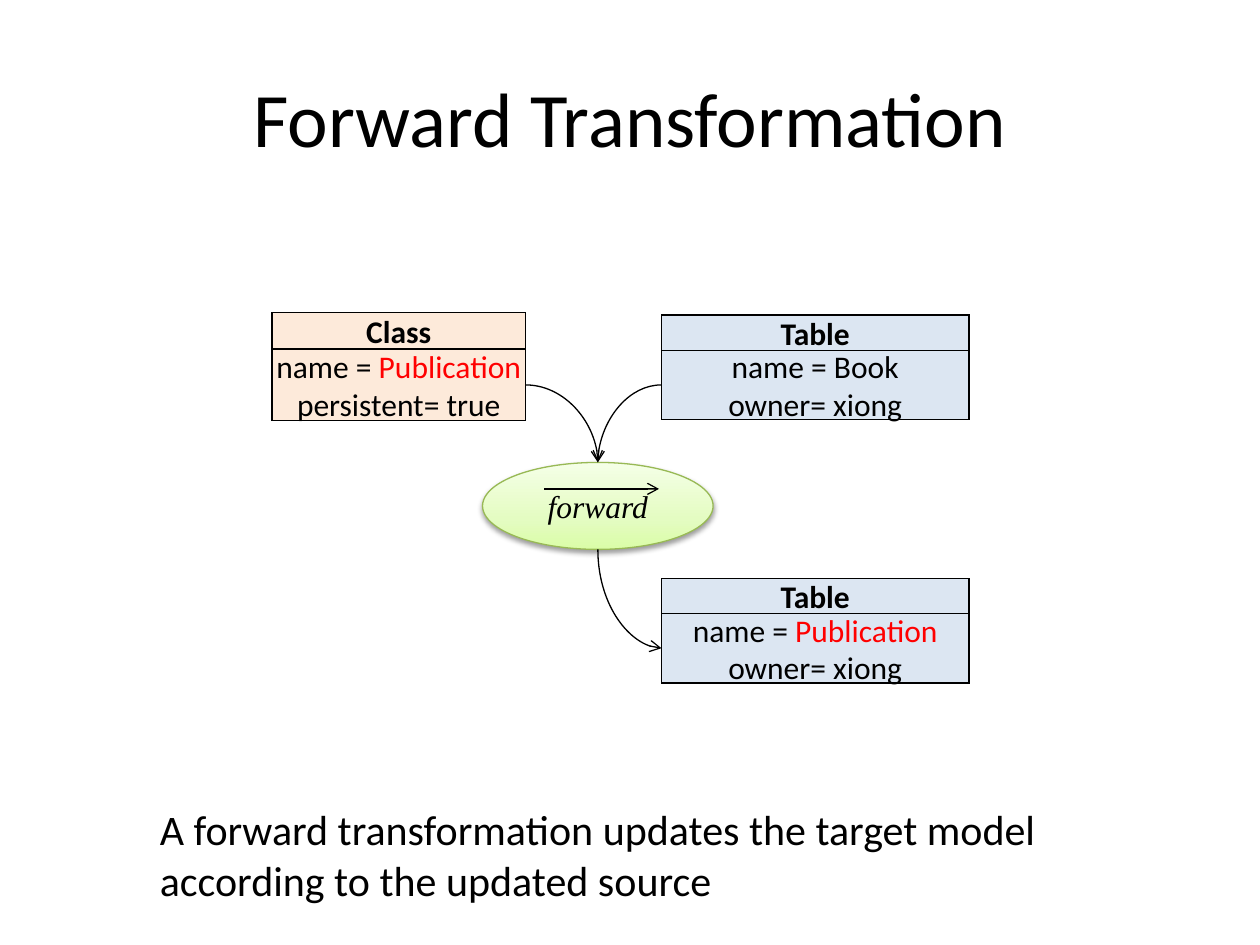
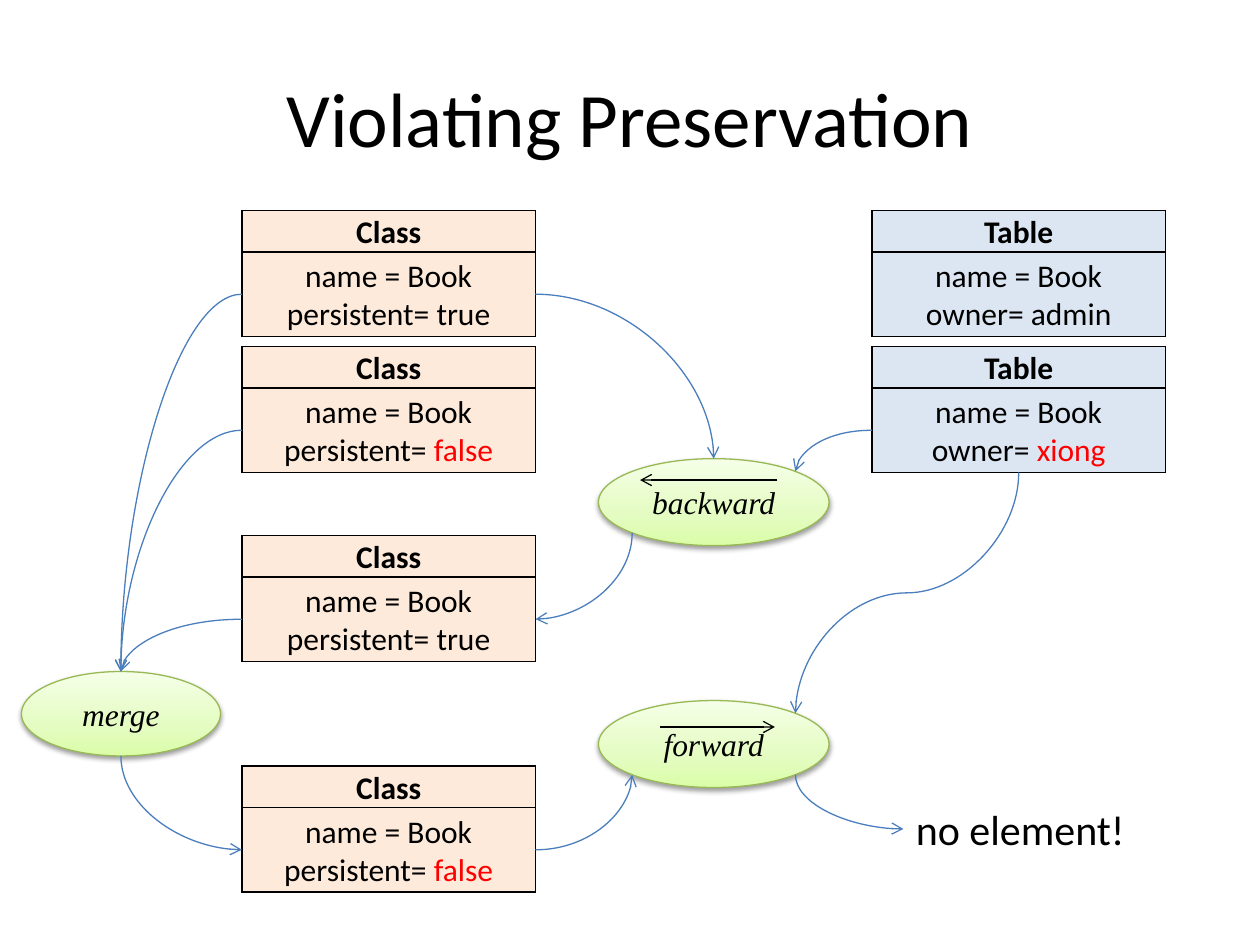
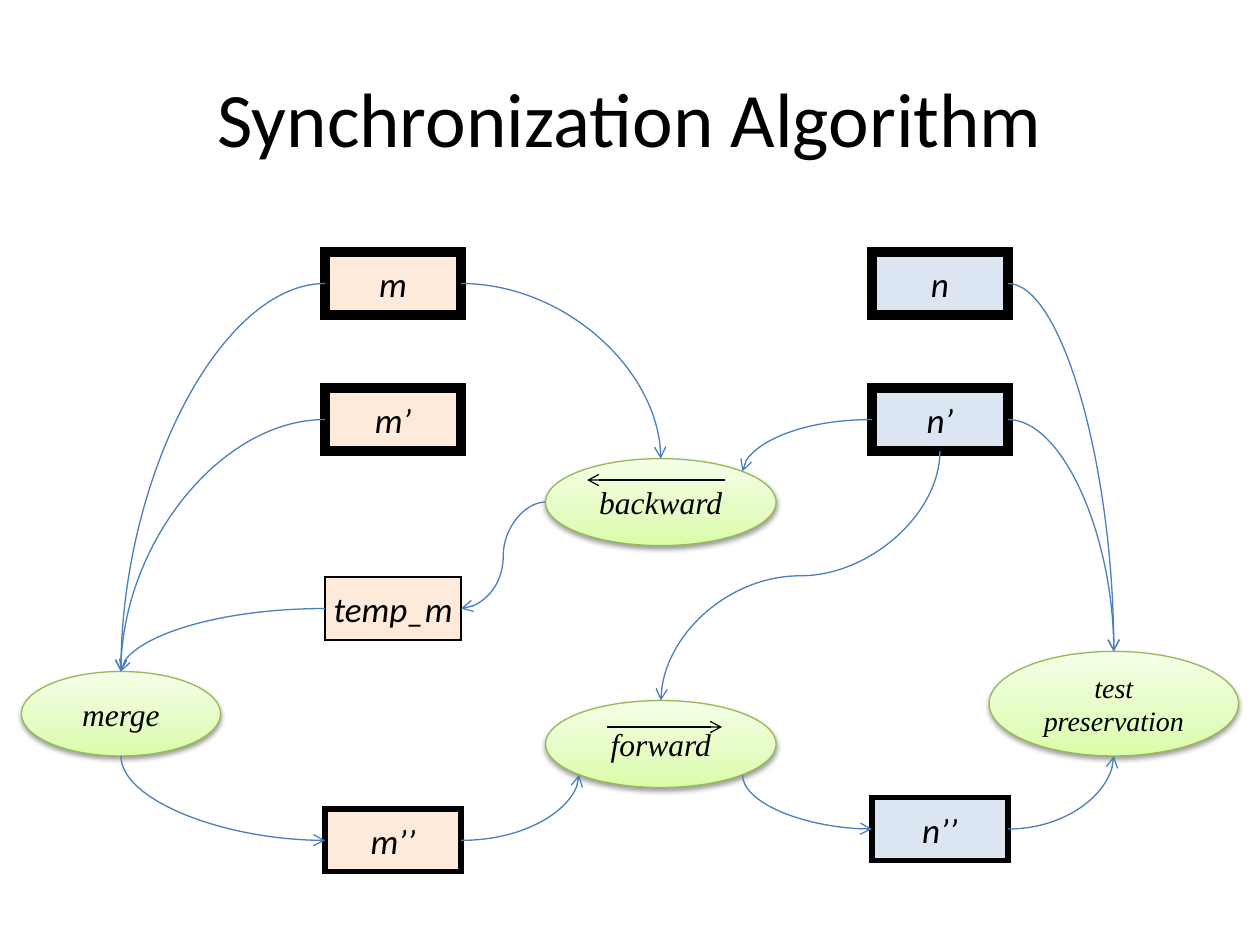
from lxml import etree
from pptx import Presentation
from pptx.dml.color import RGBColor
from pptx.enum import shapes, text
from pptx.oxml import ns
from pptx.util import Inches, Pt

BLACK = RGBColor(0x00, 0x00, 0x00)
RED = RGBColor(0xFF, 0x00, 0x00)
PEACH = RGBColor(0xFD, 0xEA, 0xDA)
PALE_BLUE = RGBColor(0xDC, 0xE6, 0xF2)
STEEL = RGBColor(0x4B, 0x7E, 0xBC)
OLIVE = RGBColor(0x98, 0xB9, 0x55)
GREEN_STOPS = [(0, "DAFDA7"), (35, "E4FCC2"), (100, "F5FFE7")]
BODY_FONT, MATH_FONT = "Calibri", "Times New Roman"
THIN = 0.75

RECORD_FILLS = {"Class": PEACH, "Table": PALE_BLUE}
WIDE = (2.33, 0.33, 0.67)  # width, heading height, body height
SOURCE_X, TARGET_X = 1.92, 6.92
VARIABLE_X = 2.58
ACTION_SIZE, MERGE_SIZE = (1.83, 0.69), (1.58, 0.67)

# Arrow above an action's name: start x, end x, y from its top left corner
OVER_ARROWS = {"forward": (0.49, 1.4, 0.21), "backward": (1.42, 0.33, 0.17)}

# Where a side lies on a shape, as fractions of its width and height
SIDES = {
    "top": (0.5, 0), "left": (0, 0.5), "bottom": (0.5, 1), "right": (1, 0.5),
    "upper right": (0.854, 0.146), "lower left": (0.146, 0.854), "lower right": (0.854, 0.854),
}

BOOK = ("name = Book", "")
PUBLICATION = ("name = ", "Publication")

# records: heading, left, top, size, lines of (plain text, changed text)
# variables: left, top, fill, border; the key is the label
# actions: left, top, size, font size; the key is the label
# captions: left, top, size, wrap; the key is the text
# flows: from, its side, to, its side
SLIDES = [
    {
        "title": "Forward Transformation",
        "flow colour": BLACK,
        "records": {
            "source": ("Class", 2.16, 2.48, (2.01, 0.29, 0.57), [PUBLICATION, ("persistent= true", "")]),
            "target": ("Table", 5.25, 2.5, (2.44, 0.28, 0.55), [BOOK, ("owner= xiong", "")]),
            "result": ("Table", 5.25, 4.59, (2.44, 0.28, 0.55), [PUBLICATION, ("owner= xiong", "")]),
        },
        "actions": {"forward": (3.83, 3.67, ACTION_SIZE, 18)},
        "captions": {
            "A forward transformation updates the target model according to the updated source":
                (1.17, 6.33, (7.75, 0.91), True),
        },
        "flows": [
            ("source", "right", "forward", "top"),
            ("target", "left", "forward", "top"),
            ("forward", "bottom", "result", "left"),
        ],
    },
    {
        "title": "Violating Preservation",
        "flow colour": STEEL,
        "records": {
            "source": ("Class", SOURCE_X, 1.67, WIDE, [BOOK, ("persistent= true", "")]),
            "target": ("Table", TARGET_X, 1.67, WIDE, [BOOK, ("owner= admin", "")]),
            "new source": ("Class", SOURCE_X, 2.75, WIDE, [BOOK, ("persistent= ", "false")]),
            "new target": ("Table", TARGET_X, 2.75, WIDE, [BOOK, ("owner= ", "xiong")]),
            "restored": ("Class", SOURCE_X, 4.25, WIDE, [BOOK, ("persistent= true", "")]),
            "merged": ("Class", SOURCE_X, 6.08, WIDE, [BOOK, ("persistent= ", "false")]),
        },
        "actions": {
            "merge": (0.17, 5.33, MERGE_SIZE, 18),
            "backward": (4.75, 3.64, ACTION_SIZE, 18),
            "forward": (4.75, 5.56, ACTION_SIZE, 18),
        },
        "captions": {"no element!": (7.17, 6.33, (1.88, 0.5), False)},
        "flows": [
            ("new target", "left", "backward", "upper right"),
            ("source", "right", "backward", "top"),
            ("backward", "lower left", "restored", "right"),
            ("source", "left", "merge", "top"),
            ("new source", "left", "merge", "top"),
            ("restored", "left", "merge", "top"),
            ("merge", "bottom", "merged", "left"),
            ("merged", "right", "forward", "lower left"),
            ("forward", "lower right", "no element!", "left"),
            ("new target", "bottom", "forward", "upper right"),
        ],
    },
    {
        "title": "Synchronization Algorithm",
        "flow colour": STEEL,
        "variables": {
            "m": (VARIABLE_X, 2, PEACH, 6),
            "n": (TARGET_X, 2, PALE_BLUE, 6),
            "m’": (VARIABLE_X, 3.08, PEACH, 6),
            "n’": (TARGET_X, 3.08, PALE_BLUE, 6),
            "temp_m": (VARIABLE_X, 4.58, PEACH, THIN),
            "m’’": (VARIABLE_X, 6.42, PEACH, 3),
            "n’’": (TARGET_X, 6.33, PALE_BLUE, 3),
        },
        "actions": {
            "merge": (0.17, 5.33, MERGE_SIZE, 18),
            "test\npreservation": (7.85, 5.17, (1.98, 0.83), 16),
            "backward": (4.33, 3.64, ACTION_SIZE, 18),
            "forward": (4.33, 5.56, ACTION_SIZE, 18),
        },
        "flows": [
            ("n’", "left", "backward", "upper right"),
            ("m", "right", "backward", "top"),
            ("backward", "left", "temp_m", "right"),
            ("m", "left", "merge", "top"),
            ("m’", "left", "merge", "top"),
            ("temp_m", "left", "merge", "top"),
            ("merge", "bottom", "m’’", "left"),
            ("m’’", "right", "forward", "lower left"),
            ("forward", "lower right", "n’’", "left"),
            ("n’", "bottom", "forward", "top"),
            ("n’", "right", "test\npreservation", "top"),
            ("n", "right", "test\npreservation", "top"),
            ("n’’", "right", "test\npreservation", "bottom"),
        ],
    },
]


def add_xml(parent, tag, **attributes):
    return etree.SubElement(parent, ns.qn(tag), {key: str(value) for key, value in attributes.items()})


def write(frame, lines, size, align=text.PP_ALIGN.CENTER, font=BODY_FONT, bold=False, italic=False):
    """Fill a frame with one paragraph a line; a line holds plain text, then changed text in red."""
    for index, line in enumerate(lines):
        para = frame.paragraphs[0] if index == 0 else frame.add_paragraph()
        para.alignment = align
        for words, colour in zip(line, (BLACK, RED)):
            if words:
                span = para.add_run()
                span.text = words
                span.font.name, span.font.size = font, Pt(size)
                span.font.bold, span.font.italic = bold, italic
                span.font.color.rgb = colour


def add_node(page, preset, left, top, width, height, border, border_width=THIN):
    node = page.shapes.add_shape(preset, Inches(left), Inches(top), Inches(width), Inches(height))
    node.shadow.inherit = False
    node.line.color.rgb = border
    node.line.width = Pt(border_width)
    node.text_frame.vertical_anchor = text.MSO_ANCHOR.MIDDLE
    return node


def add_rectangle(page, left, top, width, height, fill, border_width=THIN):
    box = add_node(page, shapes.MSO_SHAPE.RECTANGLE, left, top, width, height, BLACK, border_width)
    box.fill.solid()
    box.fill.fore_color.rgb = fill
    box.text_frame.word_wrap = False
    add_xml(box._element.spPr.find(ns.qn("a:ln")), "a:miter", lim=800000)
    return box


def add_record(page, heading, left, top, size, lines):
    """Draw a heading over a body; the body is what flows attach to."""
    width, head_height, body_height = size
    fill = RECORD_FILLS[heading]
    head = add_rectangle(page, left, top, width, head_height, fill)
    write(head.text_frame, [(heading,)], 18, bold=True)
    body = add_rectangle(page, left, top + head_height, width, body_height, fill)
    write(body.text_frame, lines, 18)
    return body


def add_variable(page, label, left, top, fill, border_width):
    box = add_rectangle(page, left, top, 1.08, 0.5, fill, border_width)
    write(box.text_frame, [(label,)], 20, italic=True)
    return box


def add_action(page, label, left, top, size, font_size):
    oval = add_node(page, shapes.MSO_SHAPE.OVAL, left, top, *size, OLIVE)
    oval.text_frame.word_wrap = True
    write(oval.text_frame, [(line,) for line in label.split("\n")], font_size, font=MATH_FONT, italic=True)

    properties = oval._element.spPr
    gradient = add_xml(properties, "a:gradFill", rotWithShape=1)
    properties.find(ns.qn("a:prstGeom")).addnext(gradient)
    stops = add_xml(gradient, "a:gsLst")
    for percent, colour in GREEN_STOPS:
        add_xml(add_xml(stops, "a:gs", pos=percent * 1000), "a:srgbClr", val=colour)
    add_xml(gradient, "a:lin", ang=270 * 60000, scaled=0)

    shadow = add_xml(properties.find(ns.qn("a:effectLst")), "a:outerShdw", blurRad=Pt(3.1),
                     dist=Pt(1.6), dir=90 * 60000, rotWithShape=0)
    add_xml(add_xml(shadow, "a:srgbClr", val="000000"), "a:alpha", val=38000)

    if label in OVER_ARROWS:
        start, end, drop = OVER_ARROWS[label]
        y = Inches(top + drop)
        add_arrow(page, shapes.MSO_CONNECTOR.STRAIGHT, (Inches(left + start), y), (Inches(left + end), y), BLACK)
    return oval


def add_caption(page, words, left, top, size, wrap):
    box = page.shapes.add_textbox(Inches(left), Inches(top), Inches(size[0]), Inches(size[1]))
    box.text_frame.word_wrap = wrap
    write(box.text_frame, [(words,)], 24, align=text.PP_ALIGN.LEFT)
    return box


def add_arrow(page, kind, start, end, colour):
    arrow = page.shapes.add_connector(kind, *start, *end)
    arrow.line.color.rgb = colour
    arrow.line.width = Pt(THIN)
    properties = arrow._element.spPr
    add_xml(properties.find(ns.qn("a:ln")), "a:tailEnd", type="arrow")
    add_xml(properties, "a:effectLst")
    return arrow


def side_point(node, side):
    across, down = SIDES[side]
    return node.left + int(node.width * across), node.top + int(node.height * down)


def add_flow(page, source, source_side, target, target_side, colour):
    """Draw a curve: a quarter turn, or an S where both ends run the same way."""
    (x1, y1), (x2, y2) = start, end = side_point(source, source_side), side_point(target, target_side)
    leaves_level, arrives_level = (side in ("left", "right") for side in (source_side, target_side))
    if not leaves_level:
        # A curve that leaves vertically is a level one turned a quarter about its centre
        centre_x, centre_y = (x1 + x2) // 2, (y1 + y2) // 2
        half_x, half_y = (x2 - x1) // 2, (y2 - y1) // 2
        start = centre_x - half_y, centre_y + half_x
        end = centre_x + half_y, centre_y - half_x
    curve = add_arrow(page, shapes.MSO_CONNECTOR.CURVE, start, end, colour)
    properties = curve._element.spPr
    if not leaves_level:
        properties.find(ns.qn("a:xfrm")).set("rot", str(90 * 60000))
    if leaves_level != arrives_level:
        properties.find(ns.qn("a:prstGeom")).set("prst", "curvedConnector2")


def add_title(page, words):
    title = page.shapes.title
    title.left, title.top, title.width, title.height = map(Inches, (0.5, 0.3, 9, 1.25))
    title.text_frame.vertical_anchor = text.MSO_ANCHOR.MIDDLE
    write(title.text_frame, [(words,)], 44)


def add_page(deck, content):
    page = deck.slides.add_slide(deck.slide_layouts[5])
    add_title(page, content["title"])
    nodes = {}
    for name, record in content.get("records", {}).items():
        nodes[name] = add_record(page, *record)
    for group, draw in (("variables", add_variable), ("actions", add_action), ("captions", add_caption)):
        for label, details in content.get(group, {}).items():
            nodes[label] = draw(page, label, *details)
    for source, source_side, target, target_side in content["flows"]:
        add_flow(page, nodes[source], source_side, nodes[target], target_side, content["flow colour"])


def main():
    deck = Presentation()
    deck.slide_width, deck.slide_height = Inches(10), Inches(7.5)
    for content in SLIDES:
        add_page(deck, content)
    deck.save("out.pptx")


if __name__ == "__main__":
    main()
